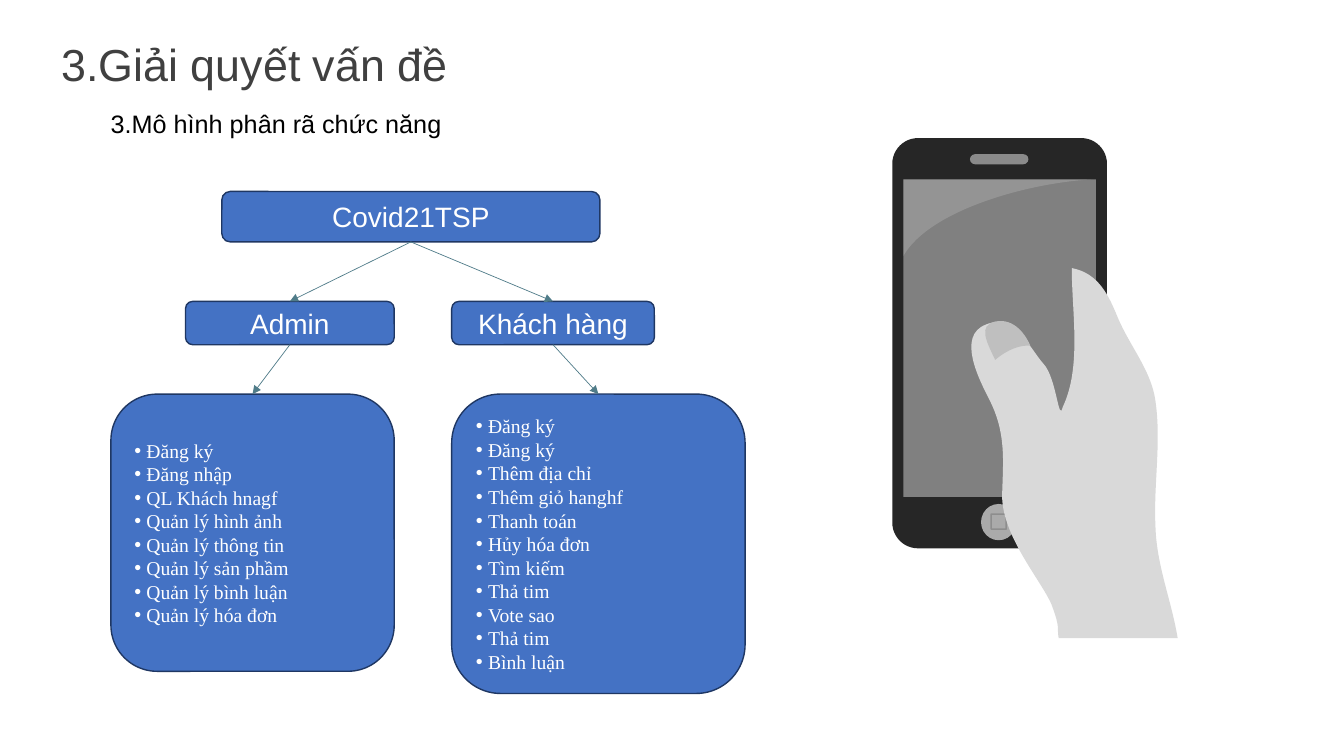
from dataclasses import dataclass

from lxml import etree
from pptx import Presentation
from pptx.dml.color import RGBColor
from pptx.enum.shapes import MSO_CONNECTOR, MSO_SHAPE
from pptx.enum.text import MSO_ANCHOR, MSO_AUTO_SIZE, PP_ALIGN
from pptx.oxml.ns import qn
from pptx.util import Pt

PX = 9144  # EMU per px, 100 px to the inch
ROUNDED, RECT, OVAL = MSO_SHAPE.ROUNDED_RECTANGLE, MSO_SHAPE.RECTANGLE, MSO_SHAPE.OVAL
LEFT, CENTER = PP_ALIGN.LEFT, PP_ALIGN.CENTER
TOP, MIDDLE = MSO_ANCHOR.TOP, MSO_ANCHOR.MIDDLE
BOTTOM_SIDE, TOP_SIDE = 2, 0
BULLET_INDENT = 12

COLORS = {
    "title": "404040", "black": "000000", "white": "FFFFFF",
    "box": "4472C4", "box_edge": "1F3763", "arrow": "507C89",
    "phone": "262626", "screen": "808080", "button": "ECECEC",
    "hand": "D9D9D9", "nail": "BFBFBF",
}


@dataclass(frozen=True)
class Box:
    """A node of the function tree; bulleted nodes list functions."""
    left: int
    top: int
    width: int
    height: int
    lines: tuple[str, ...]
    parent: str = ""
    bulleted: bool = False


@dataclass(frozen=True)
class Part:
    """A preset shape of the phone."""
    kind: MSO_SHAPE
    left: int
    top: int
    width: int
    height: int
    fill: str = ""
    line: str = ""
    alpha: int = 100
    corner: float | None = None


@dataclass(frozen=True)
class Outline:
    """A closed outline; a step is a point, or two control points and an end."""
    left: int
    top: int
    width: int
    height: int
    start: tuple[int, int]
    steps: tuple[tuple[int, ...], ...]
    fill: str
    alpha: int = 100


BOXES = {
    "app": Box(220, 190, 375, 50, ("Covid21TSP",)),
    "admin": Box(184, 299, 207, 43, ("Admin",), "app"),
    "customer": Box(448, 299, 201, 43, ("Khách hàng",), "app"),
    "admin_functions": Box(110, 391, 281, 275, (
        "Đăng ký", "Đăng nhập", "QL Khách hnagf", "Quản lý hình ảnh",
        "Quản lý thông tin", "Quản lý sản phầm", "Quản lý bình luận",
        "Quản lý hóa đơn"), "admin", True),
    "customer_functions": Box(448, 391, 291, 297, (
        "Đăng ký", "Đăng ký", "Thêm địa chỉ", "Thêm giỏ hanghf", "Thanh toán",
        "Hủy hóa đơn", "Tìm kiếm", "Thả tim", "Vote sao", "Thả tim",
        "Bình luận"), "customer", True),
}

PHONE = (
    Part(ROUNDED, 885, 137, 213, 407, "phone", corner=0.12),
    Part(RECT, 896, 178, 191, 315, "screen"),
    Part(ROUNDED, 962, 153, 58, 10, "button", alpha=51, corner=0.5),
    Part(OVAL, 973, 500, 35, 36, "button", alpha=67),
    Part(RECT, 983, 510, 15, 15, line="phone", alpha=22),
)

OUTLINES = (
    # screen glare
    Outline(896, 178, 188, 76, (896, 178),
            ((1084, 178), (1022, 181, 922, 208, 896, 254)), "white", 16),
    # hand
    Outline(963, 266, 205, 367, (1063, 266), (
        (1090, 271, 1100, 294, 1109, 316), (1121, 344, 1142, 368, 1146, 398),
        (1152, 439, 1144, 481, 1146, 522), (1147, 561, 1162, 596, 1168, 633),
        (1050, 633),
        (1048, 621, 1052, 624, 1043, 600), (1033, 576, 992, 530, 994, 489),
        (995, 457, 998, 429, 981, 396), (972, 378, 948, 333, 978, 322),
        (1006, 310, 1023, 348, 1035, 361), (1048, 375, 1050, 421, 1054, 404),
        (1073, 364, 1063, 310, 1063, 266)), "hand"),
    # thumbnail
    Outline(977, 318, 45, 39, (987, 319), (
        (1007, 315, 1018, 334, 1022, 343), (1013, 342, 1000, 346, 987, 357),
        (978, 338, 970, 323, 987, 319)), "nail"),
)


def rgb(name: str) -> RGBColor:
    return RGBColor.from_string(COLORS[name])


def emu(*lengths: int) -> list[int]:
    return [length * PX for length in lengths]


def write(frame, lines: tuple[str, ...], *, size: int, color: str, font: str = "Arial",
          align=LEFT, anchor=TOP, fit=MSO_AUTO_SIZE.NONE,
          spacing: float | None = None, bulleted: bool = False) -> None:
    frame.word_wrap = True
    frame.auto_size = fit
    frame.vertical_anchor = anchor
    for index, line in enumerate(lines):
        paragraph = frame.add_paragraph() if index else frame.paragraphs[0]
        if bulleted:
            properties = paragraph._p.get_or_add_pPr()
            properties.set("marL", str(BULLET_INDENT * PX))
            properties.set("indent", str(-BULLET_INDENT * PX))
            etree.SubElement(properties, qn("a:buFont")).set("typeface", "Arial")
            etree.SubElement(properties, qn("a:buChar")).set("char", "•")
        paragraph.alignment = align
        if spacing:
            paragraph.line_spacing = spacing
        run = paragraph.add_run()
        run.text = line
        run.font.name, run.font.size = font, Pt(size)
        run.font.color.rgb = rgb(color)


def paint(shape, fill: str = "", line: str = "", alpha: int = 100) -> None:
    shape.shadow.inherit = False
    if fill:
        shape.fill.solid()
        shape.fill.fore_color.rgb = rgb(fill)
    else:
        shape.fill.background()
    if line:
        shape.line.color.rgb = rgb(line)
        shape.line.width = Pt(1)
    else:
        shape.line.fill.background()
    if alpha < 100:
        for color in shape.element.spPr.iter(qn("a:srgbClr")):
            etree.SubElement(color, qn("a:alpha")).set("val", str(alpha * 1000))


def add_box(slide, box: Box):
    shape = slide.shapes.add_shape(ROUNDED, *emu(box.left, box.top, box.width, box.height))
    paint(shape, "box", "box_edge")
    style = (dict(size=14, font="Times New Roman", bulleted=True) if box.bulleted
             else dict(size=20, align=CENTER))
    write(shape.text_frame, box.lines, color="white", anchor=MIDDLE, **style)
    return shape


def add_arrow(slide, parent, child) -> None:
    arrow = slide.shapes.add_connector(MSO_CONNECTOR.STRAIGHT, 0, 0, 0, 0)
    arrow.begin_connect(parent, BOTTOM_SIDE)
    arrow.end_connect(child, TOP_SIDE)
    arrow.line.color.rgb = rgb("arrow")
    arrow.line.width = Pt(0.5)
    etree.SubElement(arrow.line._get_or_add_ln(), qn("a:tailEnd")).set("type", "triangle")
    etree.SubElement(arrow._element.spPr, qn("a:effectLst"))


def add_part(slide, part: Part) -> None:
    shape = slide.shapes.add_shape(part.kind, *emu(part.left, part.top, part.width, part.height))
    if part.corner is not None:
        shape.adjustments[0] = part.corner
    paint(shape, part.fill, part.line, part.alpha)


def add_outline(slide, outline: Outline) -> None:
    """Build the outline from its end points, then give its steps their curves."""
    builder = slide.shapes.build_freeform(*emu(*outline.start))
    builder.add_line_segments([emu(*step[-2:]) for step in outline.steps], close=True)
    shape = builder.convert_to_shape()
    shape.left, shape.top, shape.width, shape.height = emu(
        outline.left, outline.top, outline.width, outline.height)

    contour = next(shape.element.spPr.iter(qn("a:path")))
    for child in list(contour):
        contour.remove(child)
    contour.set("w", str(shape.width))
    contour.set("h", str(shape.height))
    tags = ["a:moveTo"] + ["a:lnTo" if len(step) == 2 else "a:cubicBezTo"
                           for step in outline.steps]
    for tag, step in zip(tags, (outline.start, *outline.steps)):
        command = etree.SubElement(contour, qn(tag))
        for x, y in zip(step[::2], step[1::2]):
            point = etree.SubElement(command, qn("a:pt"))
            point.set("x", str((x - outline.left) * PX))
            point.set("y", str((y - outline.top) * PX))
    etree.SubElement(contour, qn("a:close"))
    paint(shape, outline.fill, alpha=outline.alpha)


def main() -> None:
    deck = Presentation()
    deck.slide_width, deck.slide_height = emu(1333, 750)
    slide = deck.slides.add_slide(deck.slide_layouts[5])

    title = slide.shapes.title
    title.left, title.top, title.width, title.height = emu(51, 36, 471, 65)
    write(title.text_frame, ("3.Giải quyết vấn đề",), size=32, color="title",
          anchor=MIDDLE, spacing=0.8)
    subtitle = slide.shapes.add_textbox(*emu(100, 103, 357, 40))
    write(subtitle.text_frame, ("3.Mô hình phân rã chức năng",), size=18, color="black",
          fit=MSO_AUTO_SIZE.SHAPE_TO_FIT_TEXT)

    nodes = {name: add_box(slide, box) for name, box in BOXES.items()}
    for name, box in BOXES.items():
        if box.parent:
            add_arrow(slide, nodes[box.parent], nodes[name])
    for part in PHONE:
        add_part(slide, part)
    for outline in OUTLINES:
        add_outline(slide, outline)
    deck.save("out.pptx")


if __name__ == "__main__":
    main()
